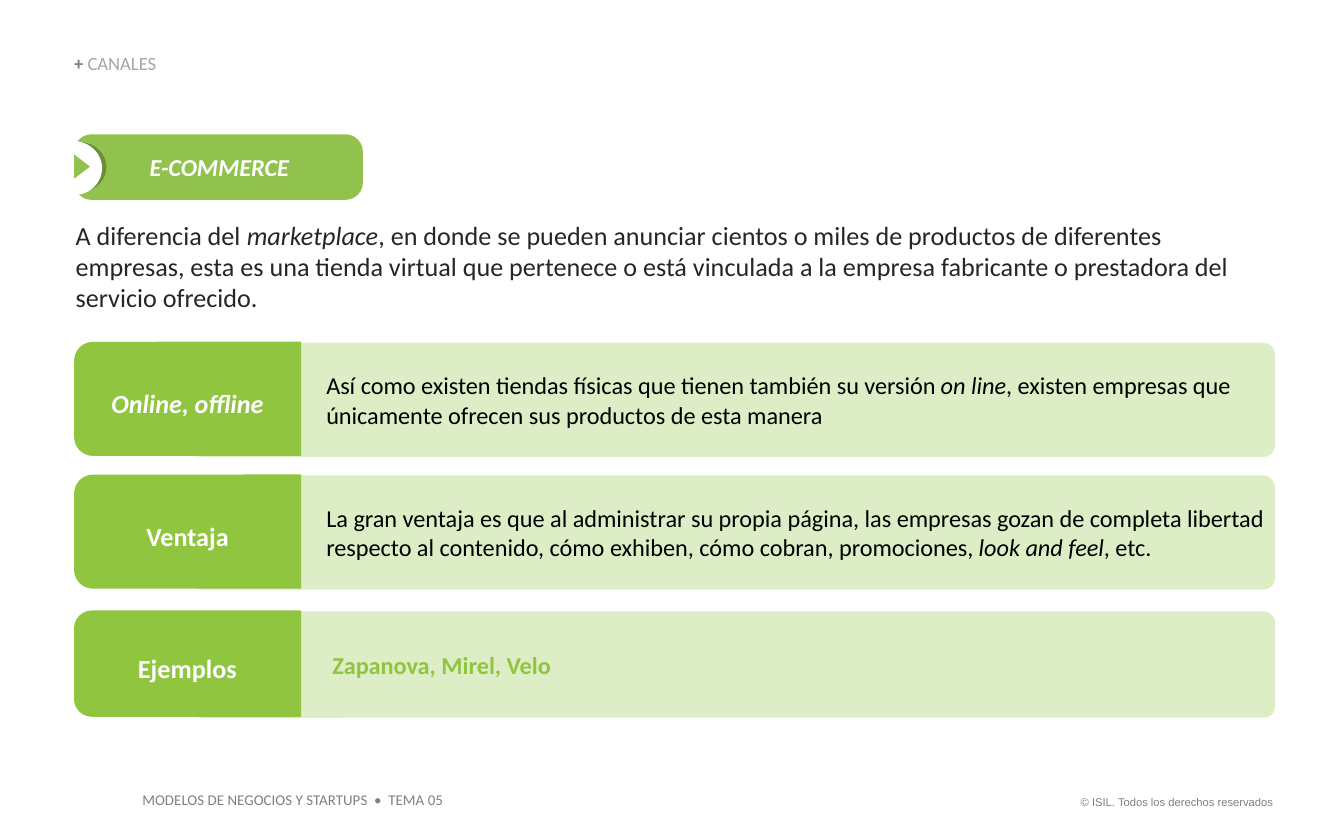
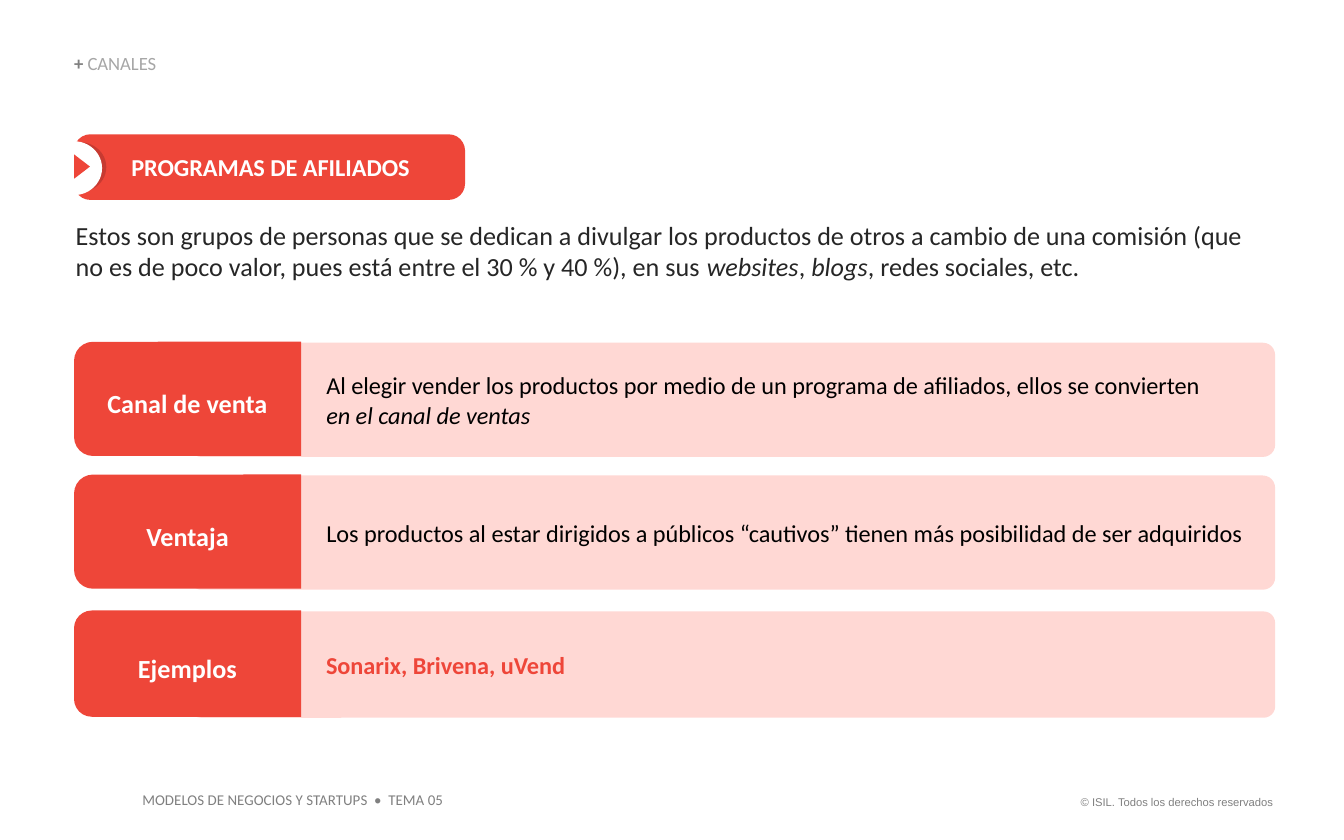
from dataclasses import dataclass

from pptx import Presentation
from pptx import util as u
from pptx.dml import color
from pptx.enum import shapes, text
from pptx.shapes.autoshape import Shape
from pptx.slide import Slide

Cm = u.Cm
PRESET = shapes.MSO_SHAPE
ALIGN = text.PP_ALIGN
ANCHOR = text.MSO_ANCHOR


@dataclass(frozen=True)
class Theme:
    font: str = "Calibri"
    legal_font: str = "Arial"
    white: str = "FFFFFF"
    black: str = "000000"
    ink: str = "262626"
    grey: str = "808080"
    light_grey: str = "A6A6A6"
    intro_size: float = 14
    label_size: float = 14
    body_size: float = 13
    title_size: float = 10
    footer_size: float = 8
    legal_size: float = 6


@dataclass(frozen=True)
class Palette:
    badge: str
    shade: str
    label: str
    panel: str


@dataclass(frozen=True)
class Place:
    left: float
    top: float
    width: float
    height: float

    def lengths(self) -> tuple[u.Length, ...]:
        return tuple(Cm(v) for v in (self.left, self.top, self.width, self.height))


@dataclass(frozen=True)
class Style:
    size: float
    colour: str
    bold: bool = False
    font: str = "Calibri"
    align: ALIGN = ALIGN.LEFT
    indent: float = 0


@dataclass(frozen=True)
class Row:
    label: str
    body: str
    example: bool = False
    indent: float = 0.13


@dataclass(frozen=True)
class Topic:
    palette: Palette
    badge: str
    badge_width: float
    badge_corner: float
    intro: str
    intro_width: float
    intro_height: float
    rows: tuple[Row, ...]


THEME = Theme()
GREEN = Palette("92C24E", "6A8F3A", "8FC53F", "DDEEC7")
RED = Palette("EE4639", "C73A31", "EE4639", "FFD8D4")

LEFT = 1.4
ROW_BANDS = ((6.48, 2.16), (8.99, 2.16), (11.56, 2.01))  # top, height
LABEL_WIDTH = 4.29

# Words between asterisks are set in italics.
TOPICS = (
    Topic(
        GREEN, "*E-COMMERCE*", 5.46, 0.267,
        "A diferencia del *marketplace*, en donde se pueden anunciar cientos o miles "
        "de productos de diferentes empresas, esta es una tienda virtual que pertenece "
        "o está vinculada a la empresa fabricante o prestadora del servicio ofrecido.",
        22.71, 1.8,
        (
            Row("*Online, offline*",
                "Así como existen tiendas físicas que tienen también su versión *on line*, "
                "existen empresas que únicamente ofrecen sus productos de esta manera"),
            Row("Ventaja",
                "La gran ventaja es que al administrar su propia página, las empresas "
                "gozan de completa libertad respecto al contenido, cómo exhiben, cómo "
                "cobran, promociones, *look and feel*, etc."),
            Row("Ejemplos", "Zapanova, Mirel, Velo", example=True, indent=0.25),
        ),
    ),
    Topic(
        RED, "PROGRAMAS DE AFILIADOS", 7.39, 0.248,
        "Estos son grupos de personas que se dedican a divulgar los productos de otros "
        "a cambio de una comisión (que no es de poco valor, pues está entre el 30 % y "
        "40 %), en sus *websites*, *blogs*, redes sociales, etc.",
        22.2, 1.19,
        (
            Row("Canal de venta",
                "Al elegir vender los productos por medio de un programa de afiliados, "
                "ellos se convierten \ven el canal de ventas"),
            Row("Ventaja",
                "Los productos al estar dirigidos a públicos “cautivos” tienen más "
                "posibilidad de ser adquiridos"),
            Row("Ejemplos", "Sonarix, Brivena, uVend", example=True),
        ),
    ),
)


def rgb(value: str) -> color.RGBColor:
    return color.RGBColor.from_string(value)


def write(box: Shape, words: str, style: Style) -> None:
    """Fill the box with one paragraph, with italics between asterisks."""
    para = box.text_frame.paragraphs[0]
    first, *others = words.split("*")
    para.text = first
    for part in others:
        para.add_run().text = part
    para.alignment = style.align
    if style.indent:
        properties = para._p.get_or_add_pPr()
        properties.set("marL", str(Cm(style.indent)))
        properties.set("indent", "0")
    for index, span in enumerate(para.runs):
        span.font.name = style.font
        span.font.size = u.Pt(style.size)
        span.font.bold = style.bold
        # A paragraph that opens with italics has no run before them.
        span.font.italic = (index + (not first)) % 2 == 1
        span.font.color.rgb = rgb(style.colour)


def set_insets(box: Shape, left: float = 0) -> None:
    frame = box.text_frame
    frame.margin_left = Cm(left)
    frame.margin_top = frame.margin_right = frame.margin_bottom = 0


def add_text(page: Slide, place: Place, words: str, style: Style,
             wrap: bool = True) -> Shape:
    box = page.shapes.add_textbox(*place.lengths())
    box.text_frame.word_wrap = wrap
    if wrap:
        set_insets(box)
    write(box, words, style)
    return box


def add_block(page: Slide, preset: PRESET, place: Place, fill: str,
              rotation: float = 0, corner: float | None = None) -> Shape:
    block = page.shapes.add_shape(preset, *place.lengths())
    block.shadow.inherit = False
    block.fill.solid()
    block.fill.fore_color.rgb = rgb(fill)
    block.line.fill.background()
    block.rotation = rotation
    if corner is not None:
        block.adjustments[0] = corner
    block.text_frame.word_wrap = True
    block.text_frame.vertical_anchor = ANCHOR.MIDDLE
    return block


def add_title(page: Slide) -> None:
    title = page.shapes.title
    title.left, title.top, title.width, title.height = Place(
        LEFT, 1.04, 10.8, 0.38).lengths()
    set_insets(title)
    title.text_frame.auto_size = text.MSO_AUTO_SIZE.NONE
    title.text_frame.vertical_anchor = ANCHOR.BOTTOM
    write(title, "+ *CANALES", Style(THEME.title_size, THEME.grey, bold=True))
    para = title.text_frame.paragraphs[0]
    para.line_spacing = 0.9
    para.space_before = u.Pt(0)
    section = para.runs[1].font
    section.bold = section.italic = False
    section.color.rgb = rgb(THEME.light_grey)


def add_footers(page: Slide) -> None:
    add_text(page, Place(20.02, 14.91, 4.29, 0.51),
             "© ISIL. Todos los derechos reservados",
             Style(THEME.legal_size, THEME.grey, font=THEME.legal_font,
                   align=ALIGN.RIGHT), wrap=False)
    add_text(page, Place(2.44, 14.83, 6.22, 0.61),
             "MODELOS DE NEGOCIOS Y STARTUPS  •  TEMA 05",
             Style(THEME.footer_size, THEME.grey), wrap=False)


def add_badge(page: Slide, topic: Topic) -> None:
    palette = topic.palette
    badge = add_block(page, PRESET.ROUNDED_RECTANGLE,
                      Place(LEFT, 2.54, topic.badge_width, 1.24),
                      palette.badge, corner=topic.badge_corner)
    write(badge, topic.badge, Style(THEME.body_size, THEME.white, bold=True,
                                    align=ALIGN.CENTER, indent=0.03))
    # Notch with its shade and arrow
    add_block(page, PRESET.OVAL, Place(1.02, 2.69, 0.99, 0.94), palette.shade)
    add_block(page, PRESET.OVAL, Place(0.86, 2.67, 1.07, 1.02), THEME.white)
    add_block(page, PRESET.ISOSCELES_TRIANGLE, Place(1.32, 3.0, 0.46, 0.3),
              palette.badge, rotation=90)


def add_row(page: Slide, row: Row, palette: Palette, top: float, height: float) -> None:
    panel = add_block(page, PRESET.ROUNDED_RECTANGLE, Place(3.58, top, 20.52, height),
                      palette.panel, corner=0.107)
    set_insets(panel, left=2.39)
    write(panel, row.body,
          Style(THEME.body_size, palette.label if row.example else THEME.black,
                bold=row.example, indent=row.indent))
    # The label tab is drawn upright and turned about its centre.
    middle = top + height / 2
    add_block(page, PRESET.ROUND_2_SAME_RECTANGLE,
              Place(LEFT + (LABEL_WIDTH - height) / 2, middle - LABEL_WIDTH / 2 - 0.02,
                    height, LABEL_WIDTH),
              palette.label, rotation=270)
    add_text(page, Place(LEFT, middle - 0.24, LABEL_WIDTH, 0.6), row.label,
             Style(THEME.label_size, THEME.white, bold=True, align=ALIGN.CENTER))


def add_topic(deck: Presentation, topic: Topic) -> None:
    page = deck.slides.add_slide(deck.slide_layouts.get_by_name("Title Only"))
    add_footers(page)
    add_text(page, Place(LEFT, 4.14, topic.intro_width, topic.intro_height), topic.intro,
             Style(THEME.intro_size, THEME.ink, indent=0.03))
    add_title(page)
    add_badge(page, topic)
    for row, (top, height) in zip(topic.rows, ROW_BANDS):
        add_row(page, row, topic.palette, top, height)


def main() -> None:
    deck = Presentation()
    deck.slide_width, deck.slide_height = Cm(25.4), Cm(15.88)
    for topic in TOPICS:
        add_topic(deck, topic)
    deck.save("out.pptx")


if __name__ == "__main__":
    main()
